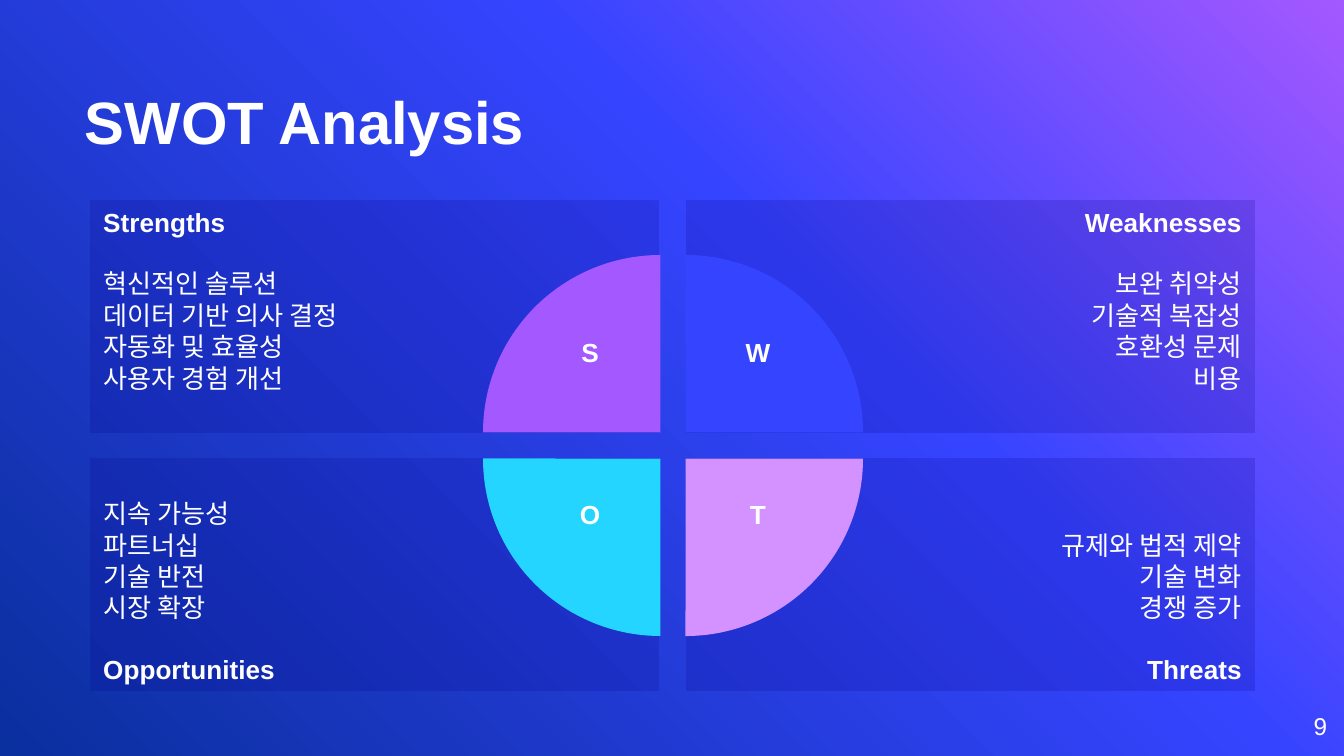
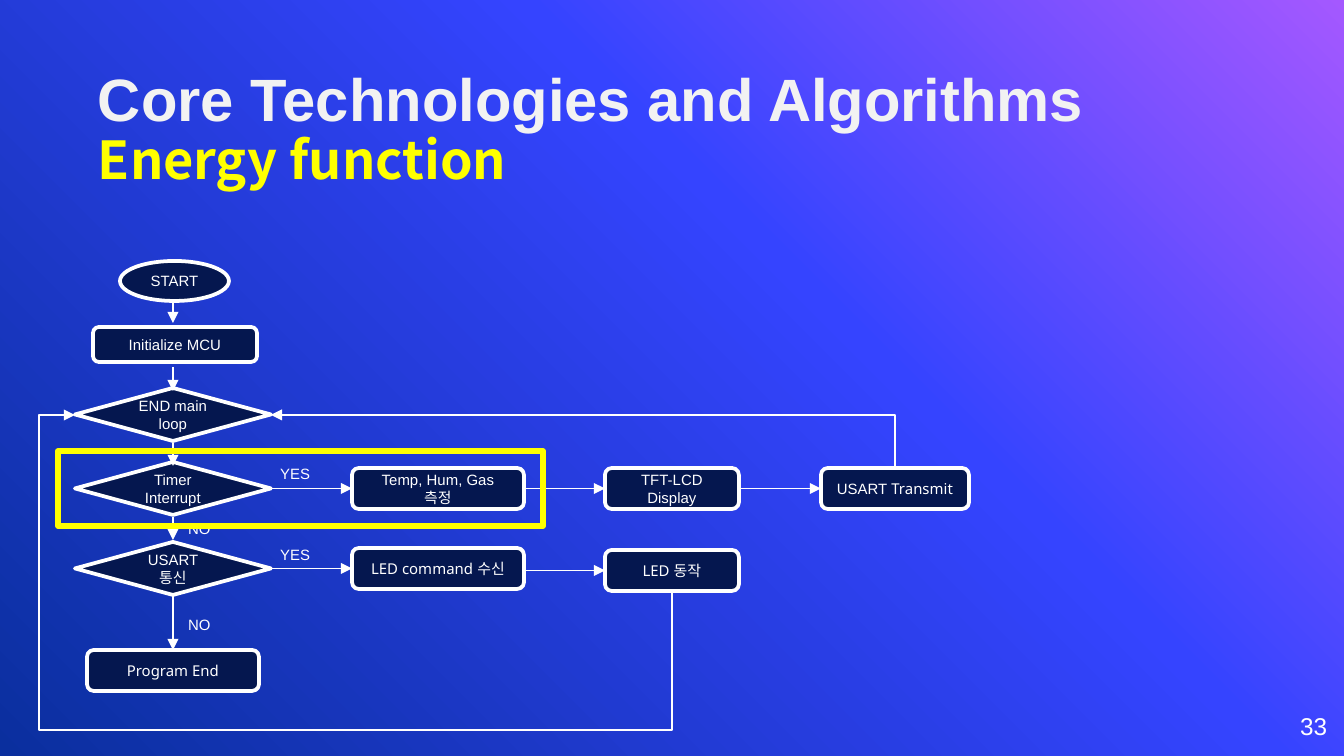
from dataclasses import dataclass

from lxml.etree import SubElement
from pptx import Presentation
from pptx.dml.color import RGBColor
from pptx.enum.shapes import MSO_CONNECTOR as LINK, MSO_SHAPE as SHAPE
from pptx.enum.text import MSO_ANCHOR as ANCHOR, PP_ALIGN as ALIGN
from pptx.oxml.ns import qn
from pptx.util import Pt

PX = 914400 / 134.4


@dataclass(frozen=True)
class Theme:
    gradient = ((0, "A458FF"), (39, "3544FF"), (100, "0A2F9E"))
    white = "FFFFFF"
    soft_white = "F2F2F2"
    yellow = "FFFF00"
    panel = "070089"
    node = "05174F"
    purple, blue, cyan, pink = "A458FF", "3544FF", "24D6FF", "D392FF"
    sans, noto, korean = "Arial", "Noto Sans", "Noto Sans CJK KR"
    title, subtitle, body, number, flow = 32, 28, 14, 13, 8


T = Theme()

# heading, points, letter, wedge colour, column, row, wedge rotation
QUADRANTS = [
    ("Strengths", ["혁신적인 솔루션", "데이터 기반 의사 결정", "자동화 및 효율성", "사용자 경험 개선"],
     "S", T.purple, 0, 0, 0),
    ("Weaknesses", ["보완 취약성", "기술적 복잡성", "호환성 문제", "비용"],
     "W", T.blue, 1, 0, 90),
    ("Threats", ["규제와 법적 제약", "기술 변화", "경쟁 증가"],
     "T", T.pink, 1, 1, 180),
    ("Opportunities", ["지속 가능성", "파트너십", "기술 반전", "시장 확장"],
     "O", T.cyan, 0, 1, 270),
]

OVAL = SHAPE.FLOWCHART_CONNECTOR
STEP = SHAPE.FLOWCHART_ALTERNATE_PROCESS
CHOICE = SHAPE.FLOWCHART_DECISION
# key: outline, box, paragraphs, font
NODES = {
    "start": (OVAL, (120, 261, 109, 40), ["START"], T.sans),
    "init": (STEP, (93, 327, 164, 35), ["Initialize MCU"], T.sans),
    "loop": (CHOICE, (75, 388, 196, 53), ["END main loop"], T.sans),
    "timer": (CHOICE, (75, 462, 196, 53), ["Timer", "Interrupt"], T.sans),
    "usart": (CHOICE, (75, 542, 196, 53), ["USART 통신"], T.sans),
    "measure": (STEP, (352, 468, 172, 41), ["Temp, Hum, Gas 측정"], T.sans),
    "display": (STEP, (605, 468, 134, 41), ["TFT-LCD Display"], T.sans),
    "transmit": (STEP, (821, 468, 148, 41),
                 [[("USART ", {}), ("Transmit", {"font": T.noto})]], T.sans),
    "command": (STEP, (352, 548, 172, 41), ["LED command 수신"], T.noto),
    "led": (STEP, (605, 550, 134, 41), ["LED 동작"], T.noto),
    "end": (STEP, (87, 650, 172, 41), ["Program End"], T.noto),
}
SPINE_X = 173
SPINE_ARROWS = [(300, 323), (367, 391), (443, 466), (517, 540), (595, 650)]
SIDE_ARROWS = [("timer", "measure"), ("measure", "display"), ("display", "transmit"),
               ("usart", "command"), ("command", "led")]
BRANCHES = [("YES", 267, 458), ("YES", 267, 539), ("NO", 175, 513), ("NO", 175, 609)]
FOCUS = (58, 451, 485, 75)


def px(*lengths):
    return [round(length * PX) for length in lengths]


def rgb(code):
    return RGBColor.from_string(code)


def style(font, size=None, name=None, color=None, bold=None):
    if size:
        font.size = Pt(size)
    if name:
        font.name = name
    if color:
        font.color.rgb = rgb(color)
    if bold is not None:
        font.bold = bold


def write(shape, paragraphs, size, font=T.sans, color=T.white, bold=False,
          align=ALIGN.LEFT, anchor=ANCHOR.TOP, inset=None):
    """Fill a shape; a paragraph is a string or a list of (text, overrides) runs."""
    frame = shape.text_frame
    frame.word_wrap = True
    frame.vertical_anchor = anchor
    if inset is not None:
        frame.margin_left = frame.margin_right = inset
        frame.margin_top = frame.margin_bottom = inset
    for index, content in enumerate(paragraphs):
        paragraph = frame.add_paragraph() if index else frame.paragraphs[0]
        paragraph.alignment = align
        style(paragraph.font, size, font, color, bold)
        runs = [(content, {})] if isinstance(content, str) else content
        for text, own in runs:
            run = paragraph.add_run()
            run.text = text
            style(run.font, own.get("size"), own.get("font"), own.get("color"))
    return frame.paragraphs


def text_box(slide, box, paragraphs, size, **options):
    return write(slide.shapes.add_textbox(*px(*box)), paragraphs, size, **options)


def draw(slide, outline, box, fill=None, line=None, width=0, opacity=None):
    shape = slide.shapes.add_shape(outline, *px(*box))
    shape.shadow.inherit = False
    if fill:
        shape.fill.solid()
        shape.fill.fore_color.rgb = rgb(fill)
        if opacity:
            color = shape.element.spPr.find(".//" + qn("a:srgbClr"))
            SubElement(color, qn("a:alpha"), val=str(opacity * 1000))
    else:
        shape.fill.background()
    if line:
        shape.line.color.rgb = rgb(line)
        shape.line.width = Pt(width)
    else:
        shape.line.fill.background()
    return shape


def arrow(slide, x1, y1, x2, y2, kind=LINK.STRAIGHT):
    link = slide.shapes.add_connector(kind, *px(x1, y1, x2, y2))
    link.line.color.rgb = rgb(T.white)
    link.line.width = Pt(0.75)
    properties = link.element.spPr
    SubElement(properties.find(qn("a:ln")), qn("a:tailEnd"), type="triangle")
    SubElement(properties, qn("a:effectLst"))
    return link


def elbow(slide, start, end, preset, rotation, flip, bends=()):
    """Bent arrow on a quarter turn, so its width and height swap about the centre."""
    (x1, y1), (x2, y2) = start, end
    width, height = abs(y2 - y1), abs(x2 - x1)
    left, top = (x1 + x2 - width) / 2, (y1 + y2 - height) / 2
    link = arrow(slide, left, top, left + width, top + height, LINK.ELBOW)
    link.rotation = rotation
    properties = link.element.spPr
    properties.find(qn("a:xfrm")).set(flip, "1")
    geometry = properties.find(qn("a:prstGeom"))
    geometry.set("prst", preset)
    for index, bend in enumerate(bends, 1):
        SubElement(geometry.find(qn("a:avLst")), qn("a:gd"),
                   name=f"adj{index}", fmla=f"val {round(bend * 100000)}")


def paint_background(master):
    fill = master.background.fill
    fill.gradient()
    fill.gradient_angle = 225
    stops = master.element.find(".//" + qn("p:bg")).find(".//" + qn("a:gsLst"))
    for stop in list(stops):
        stops.remove(stop)
    for position, color in T.gradient:
        stop = SubElement(stops, qn("a:gs"), pos=str(position * 1000))
        SubElement(stop, qn("a:srgbClr"), val=color)


def new_slide(prs, title_box, title, number, color=T.white):
    slide = prs.slides.add_slide(prs.slide_layouts[6])
    for line in text_box(slide, title_box, title, T.title, color=color, bold=True,
                         anchor=ANCHOR.BOTTOM, inset=0):
        line.line_spacing = 0.9
    text_box(slide, (1246, 697, 81, 58), [number], T.number,
             align=ALIGN.RIGHT, anchor=ANCHOR.MIDDLE, inset=0)
    return slide


def swot_slide(prs):
    slide = new_slide(prs, (85, 31, 884, 126), ["SWOT Analysis"], "9")
    for heading, points, letter, color, column, row, rotation in QUADRANTS:
        panel = draw(slide, SHAPE.RECTANGLE, (90 + 596 * column, 200 + 258 * row, 569, 233),
                     T.panel, opacity=18)
        lines = [*points, heading] if row else [heading, *points]
        paragraphs = write(panel, lines, T.body,
                           align=ALIGN.RIGHT if column else ALIGN.LEFT,
                           anchor=ANCHOR.BOTTOM if row else ANCHOR.TOP)
        paragraphs[lines.index(heading)].font.bold = True
        paragraphs[-1 if row else 1].space_before = Pt(16)

        wedge = draw(slide, SHAPE.PIE, (483 + 25 * column, 255 + 26 * row, 355, 355), color)
        wedge.adjustments[0], wedge.adjustments[1] = 108, 162
        wedge.rotation = rotation
        text_box(slide, (556 + 168 * column, 330 + 162 * row, 68, 68), [letter], T.body,
                 bold=True, align=ALIGN.CENTER)


def flow_slide(prs):
    title = ["Core Technologies and Algorithms",
             [("Energy function", {"size": T.subtitle, "font": T.korean, "color": T.yellow})]]
    slide = new_slide(prs, (98, 65, 1034, 126), title, "33", T.soft_white)
    for outline, box, paragraphs, font in NODES.values():
        node = draw(slide, outline, box, T.node, T.white, 2)
        write(node, paragraphs, T.flow, font, align=ALIGN.CENTER, anchor=ANCHOR.MIDDLE)

    for top, bottom in SPINE_ARROWS:
        arrow(slide, SPINE_X, top, SPINE_X, bottom)
    for source, target in SIDE_ARROWS:
        left, _, width, _ = NODES[source][1]
        end, top, _, height = NODES[target][1]
        middle = top + height / 2
        arrow(slide, left + width, middle, end, middle)
    elbow(slide, (895, 468), (271, 415), "bentConnector2", 270, "flipV")
    elbow(slide, (672, 591), (75, 415), "bentConnector4", 90, "flipH", (-0.79, 1.06))

    for answer, left, top in BRANCHES:
        text_box(slide, (left, top, 67, 32), [answer], T.flow)
    draw(slide, SHAPE.RECTANGLE, FOCUS, line=T.yellow, width=3)


def main():
    prs = Presentation()
    prs.slide_width, prs.slide_height = px(1344, 756)
    paint_background(prs.slide_master)
    swot_slide(prs)
    flow_slide(prs)
    prs.save("out.pptx")


if __name__ == "__main__":
    main()
